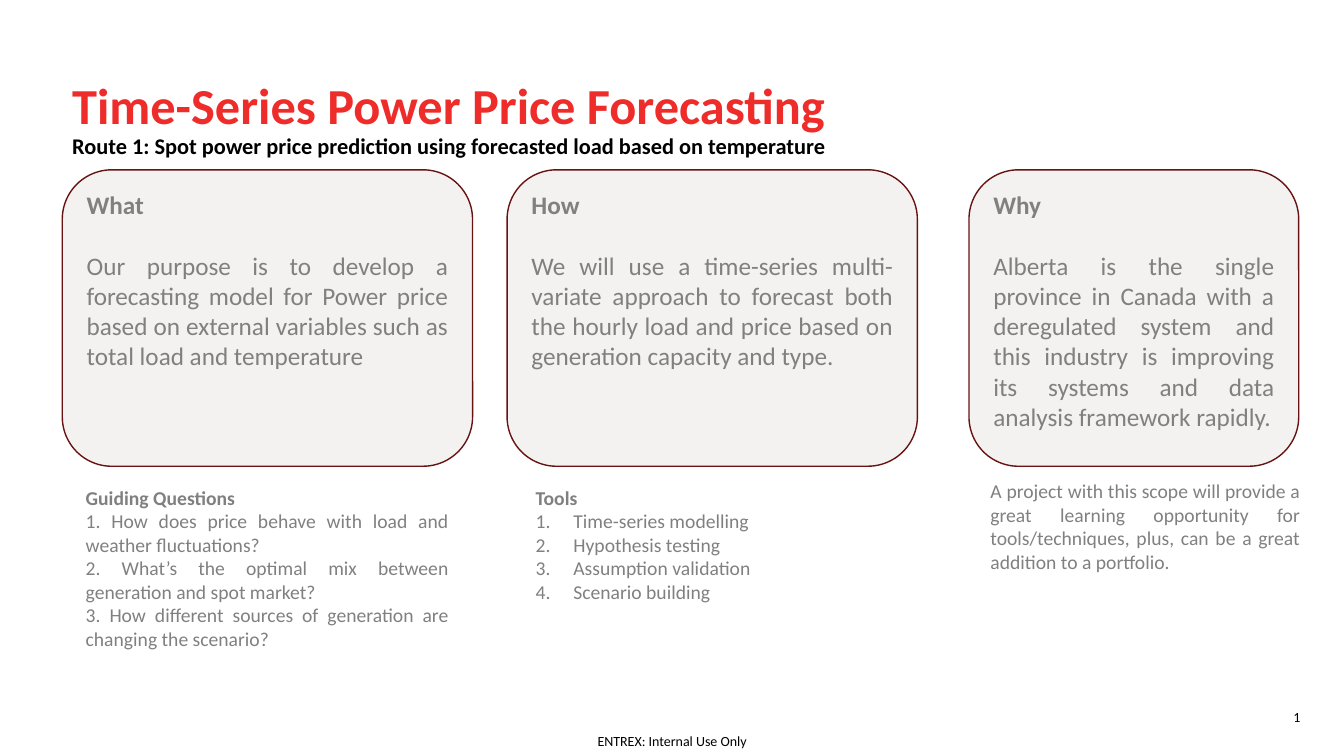
from pptx import Presentation
from pptx.dml.color import RGBColor
from pptx.enum.shapes import MSO_SHAPE
from pptx.enum.text import MSO_ANCHOR, PP_ALIGN
from pptx.oxml.xmlchemy import OxmlElement
from pptx.util import Cm, Pt

COLOURS = {"title": "EE2C2A", "black": "000000", "body": "808080",
           "card": "F3F2F0", "outline": "681312"}
FONT = "Calibri"

TITLE = "Time-Series Power Price Forecasting"
SUBTITLE = "Route 1: Spot power price prediction using forecasted load based on temperature"
FOOTER = "ENTREX: Internal Use Only"
PAGE_NUMBER = "1"

COLUMNS = [
    {"heading": "What",
     "statement": "Our purpose is to develop a forecasting model for Power price based on "
                  "external variables such as total load and temperature",
     "card": (1.57, 10.34), "notes": (1.91, 12.11, 9.65),
     "notes_heading": "Guiding Questions", "numbered": False,
     "details": ["1. How does price behave with load and weather fluctuations?",
                 "2. What’s the optimal mix between generation and spot market?",
                 "3. How different sources of generation are changing the scenario?"]},
    {"heading": "How",
     "statement": "We will use a time-series multi-variate approach to forecast both the "
                  "hourly load and price based on generation capacity and type.",
     "card": (12.78, 10.34), "notes": (13.25, 12.11, 9.4),
     "notes_heading": "Tools", "numbered": True,
     "details": ["Time-series modelling", "Hypothesis testing",
                 "Assumption validation", "Scenario building"]},
    {"heading": "Why",
     "statement": "Alberta is the single province in Canada with a deregulated system and "
                  "this industry is improving its systems and data analysis framework rapidly.",
     "card": (24.42, 8.31), "notes": (24.71, 11.95, 8.31),
     "notes_heading": None, "numbered": False,
     "details": ["A project with this scope will provide a great learning opportunity for "
                 "tools/techniques, plus, can be a great addition to a portfolio."]},
]
CARD_TOP, CARD_HEIGHT, NOTES_HEIGHT = 4.28, 7.47, 5.05
NUMBER_INDENT = Cm(0.95)


def colour(key):
    return RGBColor.from_string(COLOURS[key])


def write(paragraph, text, size, key="body", bold=False, align=PP_ALIGN.JUSTIFY):
    paragraph.text = text
    paragraph.alignment = align
    font = paragraph.font
    font.name, font.size, font.bold = FONT, Pt(size), bold
    font.color.rgb = colour(key)


def add_frame(left, top, width, height, wrap=True):
    box = slide.shapes.add_textbox(Cm(left), Cm(top), Cm(width), Cm(height))
    box.text_frame.word_wrap = wrap
    return box.text_frame


def add_panel(left, top, width, height, lines, size):
    panel = slide.shapes.add_shape(MSO_SHAPE.ROUNDED_RECTANGLE, Cm(left), Cm(top),
                                   Cm(width), Cm(height))
    panel.shadow.inherit = False
    frame = panel.text_frame
    frame.word_wrap = True
    frame.vertical_anchor = MSO_ANCHOR.TOP
    for index, (text, bold) in enumerate(lines):
        paragraph = frame.add_paragraph() if index else frame.paragraphs[0]
        write(paragraph, text, size, bold=bold)
    return panel


def number(paragraph):
    properties = paragraph._p.get_or_add_pPr()
    properties.set("marL", str(NUMBER_INDENT))
    properties.set("indent", str(-NUMBER_INDENT))
    numbering = OxmlElement("a:buAutoNum")
    numbering.set("type", "arabicPeriod")
    properties.insert_element_before(numbering, "a:tabLst", "a:defRPr", "a:extLst")


def add_card(column):
    left, width = column["card"]
    lines = [(column["heading"], True), (column["statement"], False)]
    card = add_panel(left, CARD_TOP, width, CARD_HEIGHT, lines, 18)
    card.fill.solid()
    card.fill.fore_color.rgb = colour("card")
    card.line.color.rgb = colour("outline")
    card.line.width = Pt(1)
    card.text_frame.paragraphs[0].space_after = Pt(21.8)


def add_notes(column):
    left, top, width = column["notes"]
    lines = [(detail, False) for detail in column["details"]]
    if column["notes_heading"]:
        lines.insert(0, (column["notes_heading"], True))
    notes = add_panel(left, top, width, NOTES_HEIGHT, lines, 14)
    notes.adjustments[0] = 0
    notes.fill.background()
    notes.line.fill.background()
    if column["numbered"]:
        for paragraph in notes.text_frame.paragraphs[1:]:
            number(paragraph)


presentation = Presentation()
presentation.slide_width, presentation.slide_height = Cm(33.87), Cm(19.05)
slide = presentation.slides.add_slide(presentation.slide_layouts[6])

footer = add_frame(15.06, 18.45, 3.81, 0.43)
footer.margin_left = footer.margin_right = footer.margin_top = footer.margin_bottom = 0
write(footer.paragraphs[0], FOOTER, 10, "black", align=PP_ALIGN.LEFT)

title = add_frame(1.57, 1.28, 27, 2.87)
title.vertical_anchor = MSO_ANCHOR.MIDDLE
write(title.paragraphs[0], TITLE, 36, "title", True, PP_ALIGN.LEFT)
title.paragraphs[0].line_spacing = Pt(38)

page = add_frame(25.4, 17.73, 7.62, 1.02)
write(page.paragraphs[0], PAGE_NUMBER, 10, "black", align=PP_ALIGN.RIGHT)

subtitle = add_frame(1.57, 3.2, 19.76, 0.94, wrap=False)
write(subtitle.paragraphs[0], SUBTITLE, 16, "black", True, PP_ALIGN.LEFT)

for column in COLUMNS:
    add_card(column)
    add_notes(column)

presentation.save("out.pptx")
